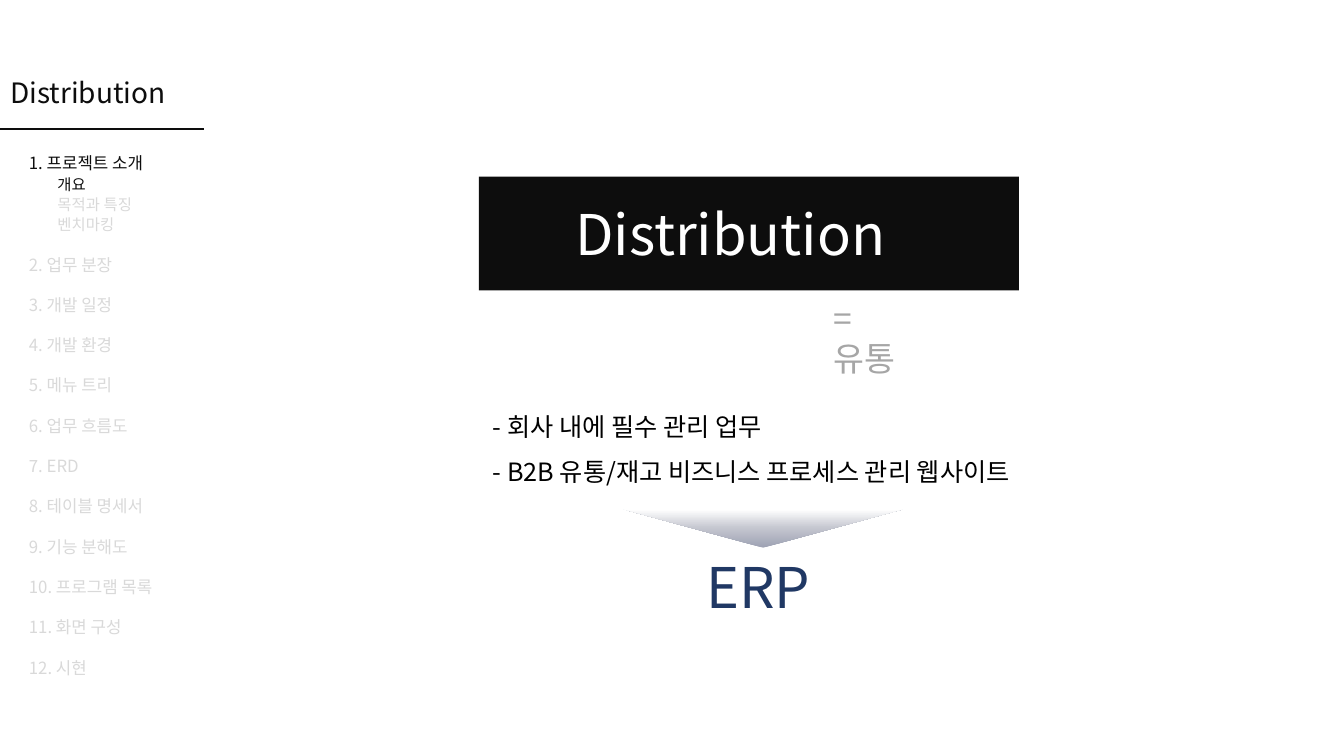
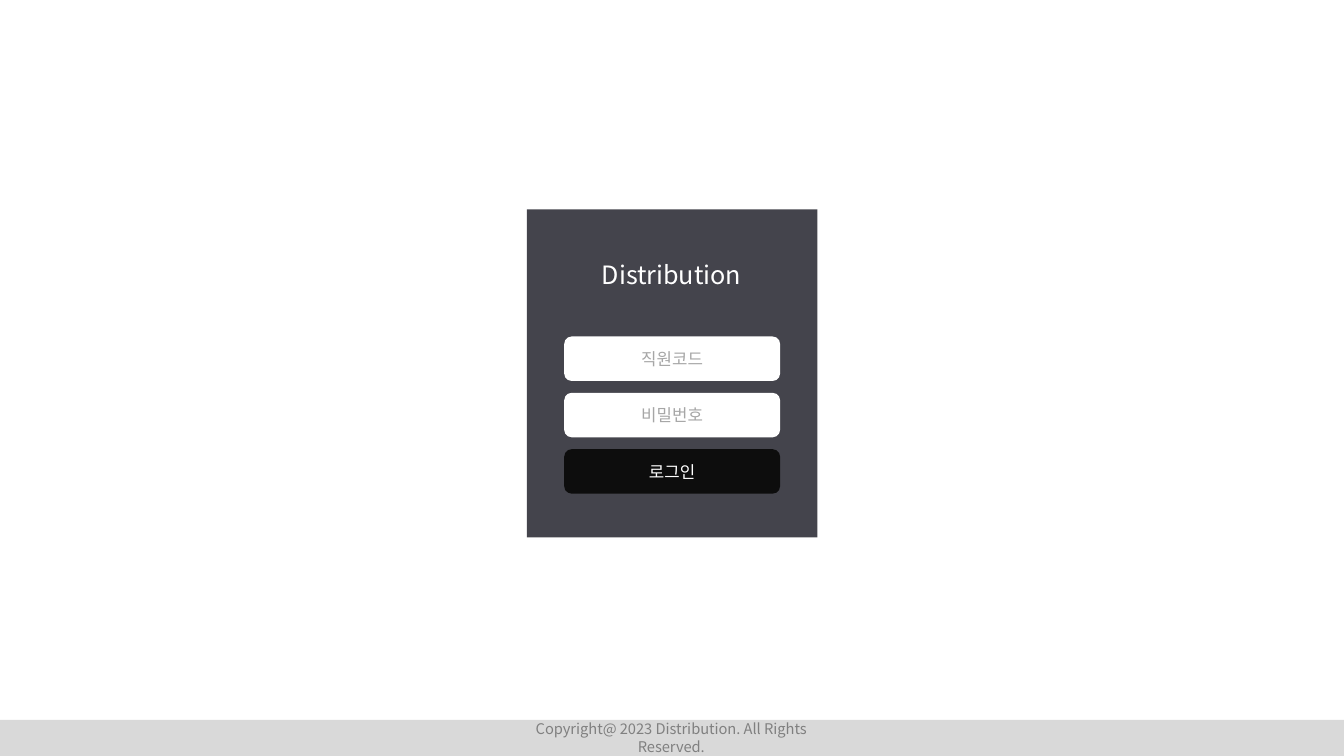
import pptx
import pptx.util
import pptx.dml.color
import pptx.enum.shapes
import pptx.enum.text
import pptx.oxml
import pptx.oxml.ns
import lxml.etree

Cm, Pt = pptx.util.Cm, pptx.util.Pt
RGB = pptx.dml.color.RGBColor
SHAPE = pptx.enum.shapes.MSO_SHAPE
ALIGN = pptx.enum.text.PP_ALIGN
ANCHOR = pptx.enum.text.MSO_ANCHOR
qn = pptx.oxml.ns.qn

# Shared style
FONT = "Noto Sans CJK KR"
INK = RGB(0x0D, 0x0D, 0x0D)
BLACK = RGB(0, 0, 0)
WHITE = RGB(0xFF, 0xFF, 0xFF)
PALE = RGB(0xD9, 0xD9, 0xD9)
GRAY = RGB(0xA6, 0xA6, 0xA6)
DIM = RGB(0x80, 0x80, 0x80)
NAVY = RGB(0x20, 0x38, 0x64)
SLATE = RGB(0x44, 0x44, 0x4C)
WIDE, HIGH = 33.87, 19.05

# Content
NAME = "Distribution"
# Each entry: text, is a sub-entry, is the current one
MENU = [
    ("1. 프로젝트 소개", False, True),
    ("개요", True, True),
    ("목적과 특징", True, False),
    ("벤치마킹", True, False),
    ("2. 업무 분장", False, False),
    ("3. 개발 일정", False, False),
    ("4. 개발 환경", False, False),
    ("5. 메뉴 트리", False, False),
    ("6. 업무 흐름도", False, False),
    ("7. ERD", False, False),
    ("8. 테이블 명세서", False, False),
    ("9. 기능 분해도", False, False),
    ("10. 프로그램 목록", False, False),
    ("11. 화면 구성", False, False),
    ("12. 시현", False, False),
]
# Each label: lines, box, size, colour, line spacing
LABELS = [
    ([NAME], (14.25, 4.9, 9.27, 1.96), 40, WHITE, 1),
    (["= 유통"], (20.75, 7.37, 2.6, 1.27), 24, GRAY, 1),
    (["- 회사 내에 필수 관리 업무",
      "- B2B 유통/재고 비즈니스 프로세스 관리 웹사이트"],
     (12.17, 9.86, 14.6, 2.57), 18, BLACK, 1.5),
    (["ERP"], (17.55, 13.79, 3.4, 1.96), 40, NAVY, 1),
]
FADE = [(0, "9DA1B3"), (50, "C4C6CF"), (100, "FFFFFF")]
FIELDS = [("직원코드", WHITE, GRAY), ("비밀번호", WHITE, GRAY), ("로그인", INK, WHITE)]
RIGHTS = "Copyright@ 2023 Distribution. All Rights Reserved."


def style(para, size, color, align=ALIGN.LEFT, space=1):
    para.alignment = align
    para.line_spacing = float(space)
    for run in para.runs:
        run.font.size = Pt(size)
        run.font.color.rgb = color
        run.font.name = FONT
        east = lxml.etree.SubElement(run.font._element, qn("a:ea"))
        east.set("typeface", FONT)


def write(shape, lines, size, color, align=ALIGN.LEFT, space=1, anchor=ANCHOR.TOP):
    frame = shape.text_frame
    frame.text = "\n".join(lines)
    frame.word_wrap = True
    frame.auto_size = pptx.enum.text.MSO_AUTO_SIZE.NONE
    frame.vertical_anchor = anchor
    for para in frame.paragraphs:
        style(para, size, color, align, space)
    return frame


def add_text(slide, box, lines, size, color, **look):
    shape = slide.shapes.add_textbox(*map(Cm, box))
    return write(shape, lines, size, color, **look)


def add_box(slide, box, fill=None, kind=SHAPE.RECTANGLE):
    shape = slide.shapes.add_shape(kind, *map(Cm, box))
    shape.shadow.inherit = False
    shape.line.fill.background()
    if fill is not None:
        shape.fill.solid()
        shape.fill.fore_color.rgb = fill
    return shape


def set_title(slide, box, size, color, **look):
    title = slide.shapes.title
    title.left, title.top, title.width, title.height = map(Cm, box)
    write(title, [NAME], size, color, **look)
    return title


def fade(shape):
    stops = "".join(
        f'<a:gs pos="{pos * 1000}"><a:srgbClr val="{color}"/></a:gs>' for pos, color in FADE)
    grad = pptx.oxml.parse_xml(
        f'<a:gradFill {pptx.oxml.ns.nsdecls("a")} rotWithShape="1"><a:gsLst>{stops}</a:gsLst>'
        '<a:lin ang="5400000" scaled="0"/></a:gradFill>')
    shape.element.spPr.find(qn("a:prstGeom")).addnext(grad)


def add_menu(slide):
    frame = add_text(slide, (0.48, 3.73, 3.68, 13.59), [row[0] for row in MENU], 12, PALE)
    for i, (para, (_, sub, current)) in enumerate(zip(frame.paragraphs, MENU)):
        para.line_spacing = 1.1 if sub else 2.0 if i else 1.0
        if sub:
            para._p.get_or_add_pPr().set("marL", str(Cm(0.72)))
        for run in para.runs:
            run.font.size = Pt(11 if sub else 12)
            run.font.color.rgb = INK if current else PALE


def build_intro(slide):
    # Side menu
    set_title(slide, (0, 1.78, 4.88, 1.12), 20, INK)
    rule = slide.shapes.add_connector(
        pptx.enum.shapes.MSO_CONNECTOR.STRAIGHT, Cm(0), Cm(3.25), Cm(5.13), Cm(3.25))
    rule.line.color.rgb = INK
    rule.line.width = Pt(1.5)
    lxml.etree.SubElement(rule.element.spPr, qn("a:effectLst"))
    add_menu(slide)

    # Statement and arrow
    add_box(slide, (12.07, 4.45, 13.61, 2.87), INK)
    for lines, box, size, color, space in LABELS:
        add_text(slide, box, lines, size, color, space=space)
    wedge = add_box(slide, (15.7, 12.83, 7.06, 0.97), kind=SHAPE.ISOSCELES_TRIANGLE)
    wedge.rotation = 180
    fade(wedge)


def build_login(slide):
    middle = {"align": ALIGN.CENTER, "anchor": ANCHOR.MIDDLE}
    # Footer
    add_box(slide, (0, 18.14, WIDE, 0.91), PALE)
    add_text(slide, (12.6, 18.24, 8.64, 0.71), [RIGHTS], 10.5, DIM, **middle)

    # Login panel, with the title in front of it
    panel = add_box(slide, (13.28, 5.28, 7.32, 8.26), SLATE)
    title = set_title(slide, (14.4, 6.4, 5.05, 1.02), 18, WHITE, **middle)
    panel.element.addnext(title.element)
    for i, (text, fill, color) in enumerate(FIELDS):
        box = (14.22, 8.48 + i * 1.42, 5.44, 1.12)
        field = add_box(slide, box, fill, SHAPE.ROUNDED_RECTANGLE)
        write(field, [text], 12, color, **middle)


def main():
    deck = pptx.Presentation()
    deck.slide_width, deck.slide_height = Cm(WIDE), Cm(HIGH)
    for build in (build_intro, build_login):
        build(deck.slides.add_slide(deck.slide_layouts[5]))
    deck.save("out.pptx")


if __name__ == "__main__":
    main()
